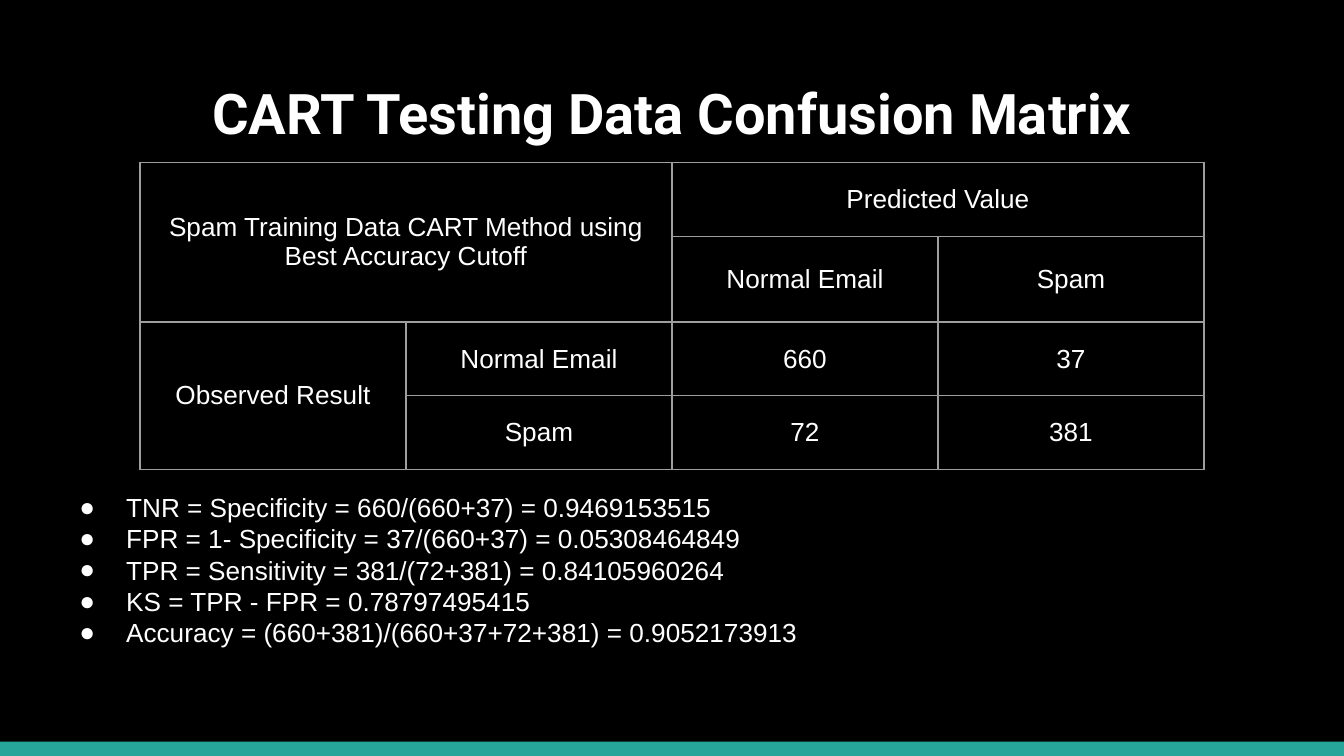
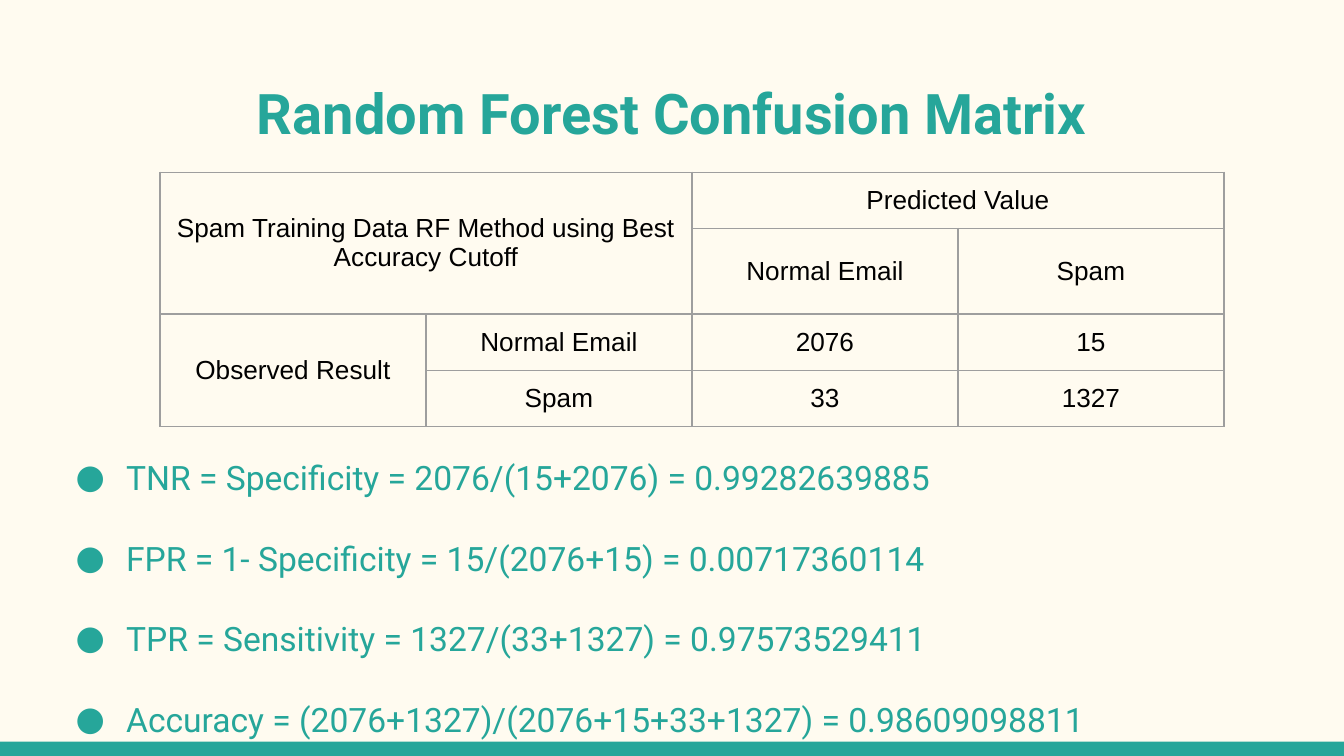
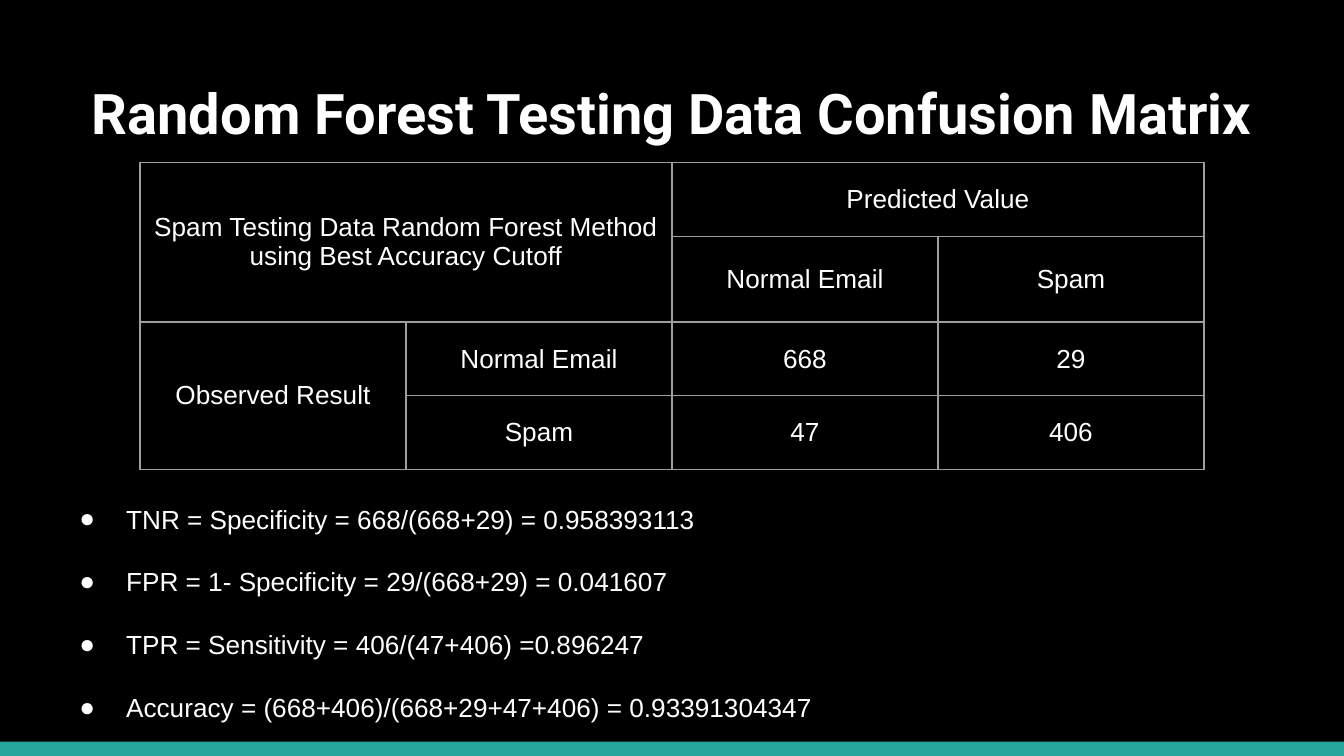
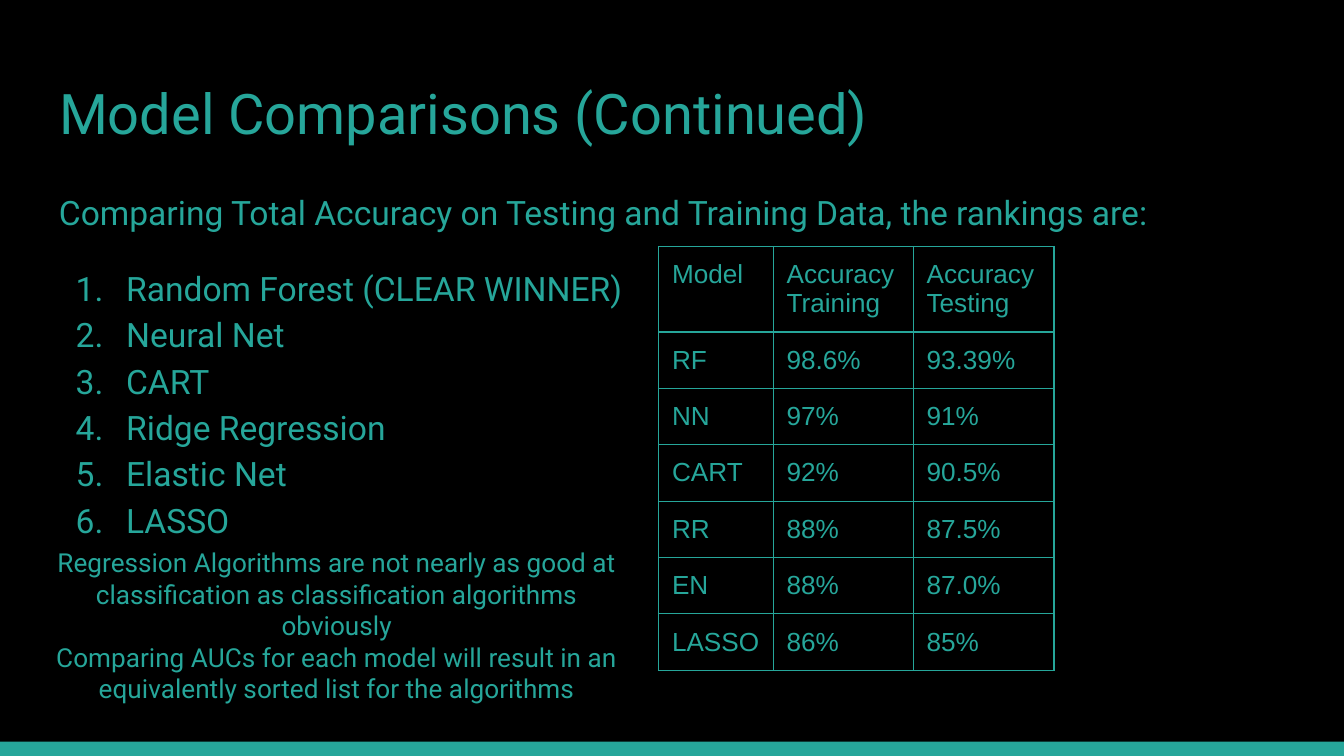
from lxml.etree import SubElement
from pptx import Presentation
from pptx.dml.color import RGBColor
from pptx.enum.shapes import MSO_SHAPE as Shape
from pptx.enum.text import MSO_ANCHOR as Anchor, MSO_AUTO_SIZE as AutoSize, PP_ALIGN as Align
from pptx.oxml.ns import qn
from pptx.util import Pt

TEAL = RGBColor(0x26, 0xA6, 0x9A)
BLACK = RGBColor(0, 0, 0)
WHITE = RGBColor(0xFF, 0xFF, 0xFF)
CREAM = RGBColor(0xFF, 0xFB, 0xF0)
GREY = RGBColor(0x9E, 0x9E, 0x9E)

TITLE = {"name": "Roboto", "size": Pt(30)}
LARGE = {"name": "Roboto", "size": Pt(18)}
NOTE = {"name": "Roboto", "size": Pt(14)}
SMALL = {"name": "Arial", "size": Pt(14)}
INSETS = {f"margin_{side}": Pt(7.2) for side in ("left", "top", "right", "bottom")}
FRAME = {"word_wrap": True, "auto_size": AutoSize.NONE, **INSETS}
PLAIN_TABLE = {"first_row": False, "horz_banding": False}

MARGIN, CONTENT_WIDTH = 24.5, 671
MATRIX_COLUMNS = [142.5] * 4
MATRIX_SPANS = [(0, 0, 1, 1), (0, 2, 0, 3), (2, 0, 3, 0)]


def apply(target, values):
    for key, value in values.items():
        setattr(target, key, value)


def place(shape, left, top, width, height):
    apply(shape, {"left": Pt(left), "top": Pt(top), "width": Pt(width), "height": Pt(height)})


def write(paragraph, text, style, color, **layout):
    apply(paragraph, layout)
    run = paragraph.add_run()
    run.text = text
    apply(run.font, style)
    run.font.color.rgb = color


def add_marker(paragraph, style, color, numbered):
    properties = paragraph._p.get_or_add_pPr()
    hanging = 27 if style is LARGE else 25
    properties.set("marL", str(Pt(36)))
    properties.set("indent", str(-Pt(hanging)))
    marker_color = SubElement(properties, qn("a:buClr"))
    SubElement(marker_color, qn("a:srgbClr"), val=str(color))
    SubElement(properties, qn("a:buFont"), typeface=style["name"])
    if numbered:
        SubElement(properties, qn("a:buAutoNum"), type="arabicPeriod")
    else:
        SubElement(properties, qn("a:buChar"), char="●")


def add_text_frame(slide, box, anchor=Anchor.TOP):
    frame = slide.shapes.add_textbox(*map(Pt, box)).text_frame
    apply(frame, {**FRAME, "vertical_anchor": anchor})
    return frame


def next_paragraph(frame):
    first = frame.paragraphs[0]
    return frame.add_paragraph() if first.runs else first


def add_list(frame, items, style, color, numbered=False, gap_before=None, **layout):
    for position, item in enumerate(items):
        paragraph = next_paragraph(frame)
        add_marker(paragraph, style, color, numbered)
        if position == 0 and gap_before:
            paragraph.space_before = gap_before
        write(paragraph, item, style, color, **layout)


def add_slide(deck, heading, background, color, bold=True, alignment=Align.CENTER):
    slide = deck.slides.add_slide(deck.slide_layouts[5])
    slide.background.fill.solid()
    slide.background.fill.fore_color.rgb = background
    band = slide.shapes.add_shape(Shape.RECTANGLE, 0, Pt(397.4), Pt(720), Pt(7.6))
    band.shadow.inherit = False
    band.fill.solid()
    band.fill.fore_color.rgb = TEAL
    band.line.fill.background()
    title = slide.shapes.title
    place(title, MARGIN, 35, CONTENT_WIDTH, 48)
    apply(title.text_frame, {**FRAME, "vertical_anchor": Anchor.TOP})
    write(title.text_frame.paragraphs[0], heading, {**TITLE, "bold": bold}, color,
          alignment=alignment)
    return slide


def draw_borders(cell, color):
    properties = cell._tc.get_or_add_tcPr()
    for position, side in enumerate(("a:lnL", "a:lnR", "a:lnT", "a:lnB")):
        line = properties.makeelement(qn(side), {"w": str(Pt(0.75))})
        fill = SubElement(line, qn("a:solidFill"))
        SubElement(fill, qn("a:srgbClr"), val=str(color))
        properties.insert(position, line)


def add_table(slide, left, top, columns, row_height, rows, color, border,
              spans=(), anchor=Anchor.TOP, alignment=Align.LEFT):
    table = slide.shapes.add_table(len(rows), len(columns), Pt(left), Pt(top), Pt(sum(columns)),
                                   Pt(row_height * len(rows))).table
    apply(table, PLAIN_TABLE)
    for column, width in zip(table.columns, columns):
        column.width = Pt(width)
    for row, values in zip(table.rows, rows):
        row.height = Pt(row_height)
        for cell, value in zip(row.cells, values):
            apply(cell, {**INSETS, "vertical_anchor": anchor})
            cell.fill.background()
            draw_borders(cell, border)
            paragraph = cell.text_frame.paragraphs[0]
            if value:
                write(paragraph, value, SMALL, color, alignment=alignment)
            else:
                SubElement(paragraph._p, qn("a:endParaRPr"), sz="1400")
    for top_row, left_column, bottom_row, right_column in spans:
        table.cell(top_row, left_column).merge(table.cell(bottom_row, right_column))


def add_confusion_matrix(slide, left, top, row_height, caption, normal, spam, color):
    rows = [
        [caption, "", "Predicted Value", ""],
        ["", "", "Normal Email", "Spam"],
        ["Observed Result", "Normal Email", *normal],
        ["", "Spam", *spam],
    ]
    add_table(slide, left, top, MATRIX_COLUMNS, row_height, rows, color, GREY,
              MATRIX_SPANS, Anchor.MIDDLE, Align.CENTER)


def add_cart_testing(deck):
    slide = add_slide(deck, "CART Testing Data Confusion Matrix", BLACK, WHITE)
    metrics = add_text_frame(slide, (MARGIN, 245.5, CONTENT_WIDTH, 119.5), Anchor.MIDDLE)
    add_list(metrics, [
        "TNR = Specificity = 660/(660+37) = 0.9469153515",
        "FPR = 1- Specificity = 37/(660+37) = 0.05308464849",
        "TPR = Sensitivity = 381/(72+381) = 0.84105960264",
        "KS = TPR - FPR = 0.78797495415",
        "Accuracy = (660+381)/(660+37+72+381) = 0.9052173913",
    ], SMALL, WHITE)
    add_confusion_matrix(slide, 75, 87, 39.6,
                         "Spam Training Data CART Method using Best Accuracy Cutoff",
                         ("660", "37"), ("72", "381"), WHITE)


def add_forest_training(deck):
    slide = add_slide(deck, "Random Forest Confusion Matrix", CREAM, TEAL)
    add_confusion_matrix(slide, 85.7, 92.2, 30,
                         "Spam Training Data RF Method using Best Accuracy Cutoff",
                         ("2076", "15"), ("33", "1327"), BLACK)
    metrics = add_text_frame(slide, (MARGIN, 216, CONTENT_WIDTH, 144))
    add_list(metrics, [
        "TNR = Specificity = 2076/(15+2076) = 0.99282639885",
        "FPR = 1- Specificity = 15/(2076+15) = 0.00717360114",
        "TPR = Sensitivity = 1327/(33+1327) = 0.97573529411",
        "Accuracy = (2076+1327)/(2076+15+33+1327) = 0.98609098811",
    ], LARGE, TEAL, line_spacing=2.0)


def add_forest_testing(deck):
    slide = add_slide(deck, "Random Forest Testing Data Confusion Matrix", BLACK, WHITE)
    metrics = add_text_frame(slide, (MARGIN, 245.5, CONTENT_WIDTH, 119.5))
    add_list(metrics, [
        "TNR = Specificity = 668/(668+29) = 0.958393113",
        "FPR = 1- Specificity = 29/(668+29) = 0.041607",
        "TPR = Sensitivity = 406/(47+406) =0.896247",
        "Accuracy = (668+406)/(668+29+47+406) = 0.93391304347",
    ], SMALL, WHITE, line_spacing=2.0)
    add_confusion_matrix(slide, 75, 87, 39.6,
                         "Spam Testing Data Random Forest Method using Best Accuracy Cutoff",
                         ("668", "29"), ("47", "406"), WHITE)


def add_model_comparison(deck):
    slide = add_slide(deck, "Model Comparisons (Continued)", BLACK, TEAL, False, Align.LEFT)
    ranking = add_text_frame(slide, (MARGIN, 92.2, CONTENT_WIDTH, 267.8))
    write(next_paragraph(ranking),
          "Comparing Total Accuracy on Testing and Training Data, the rankings are:",
          LARGE, TEAL, line_spacing=1.15)
    add_list(ranking, [
        "Random Forest (CLEAR WINNER)", "Neural Net", "CART",
        "Ridge Regression", "Elastic Net", "LASSO",
    ], LARGE, TEAL, numbered=True, gap_before=Pt(16), line_spacing=1.15)
    add_table(slide, 352.8, 132, [61.4, 75, 75.5], 30.2, [
        ["Model", "Accuracy Training", "Accuracy Testing"],
        ["RF", "98.6%", "93.39%"],
        ["NN", "97%", "91%"],
        ["CART", "92%", "90.5%"],
        ["RR", "88%", "87.5%"],
        ["EN", "88%", "87.0%"],
        ["LASSO", "86%", "85%"],
    ], TEAL, TEAL)
    remarks = add_text_frame(slide, (20.9, 285.8, 319, 59.8))
    for remark in (
        "Regression Algorithms are not nearly as good at classification as classification "
        "algorithms obviously",
        "Comparing AUCs for each model will result in an equivalently sorted list for the "
        "algorithms",
    ):
        write(next_paragraph(remarks), remark, NOTE, TEAL, alignment=Align.CENTER)


def main():
    deck = Presentation()
    apply(deck, {"slide_width": Pt(720), "slide_height": Pt(405)})
    add_cart_testing(deck)
    add_forest_training(deck)
    add_forest_testing(deck)
    add_model_comparison(deck)
    deck.save("out.pptx")


if __name__ == "__main__":
    main()
